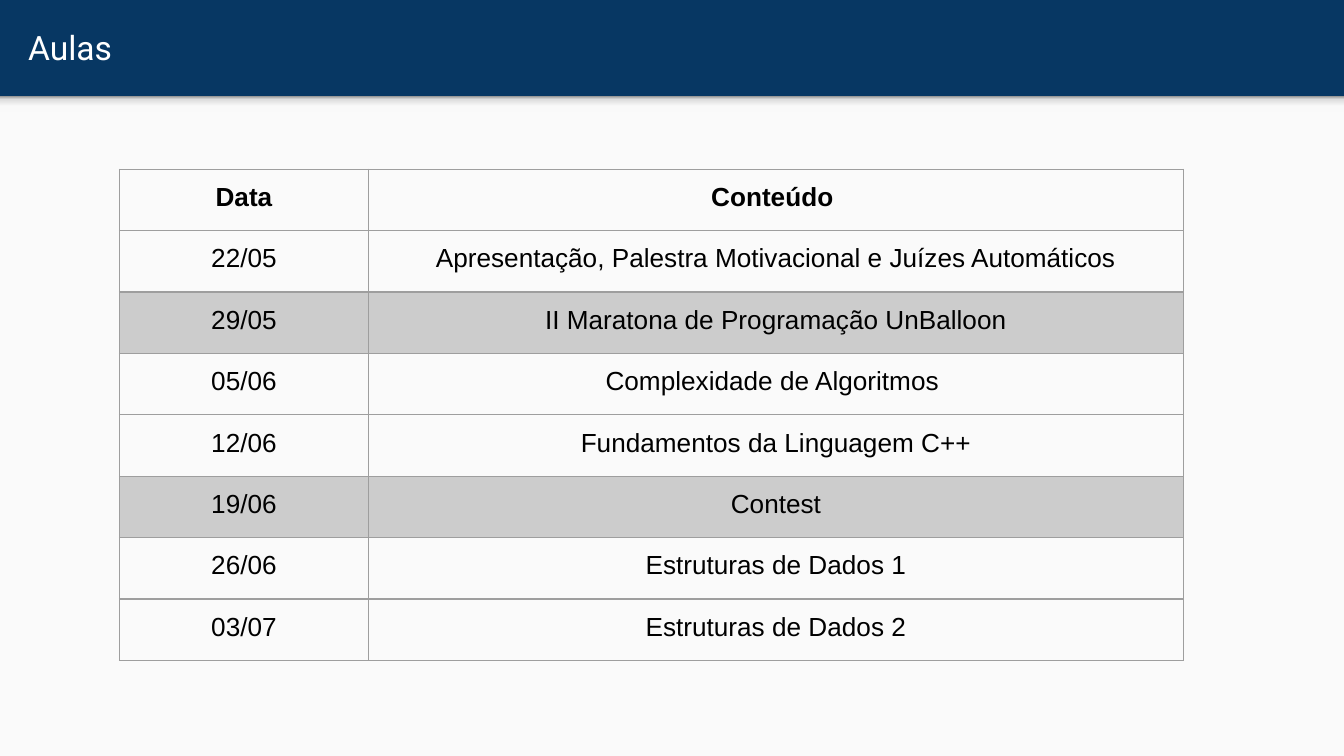
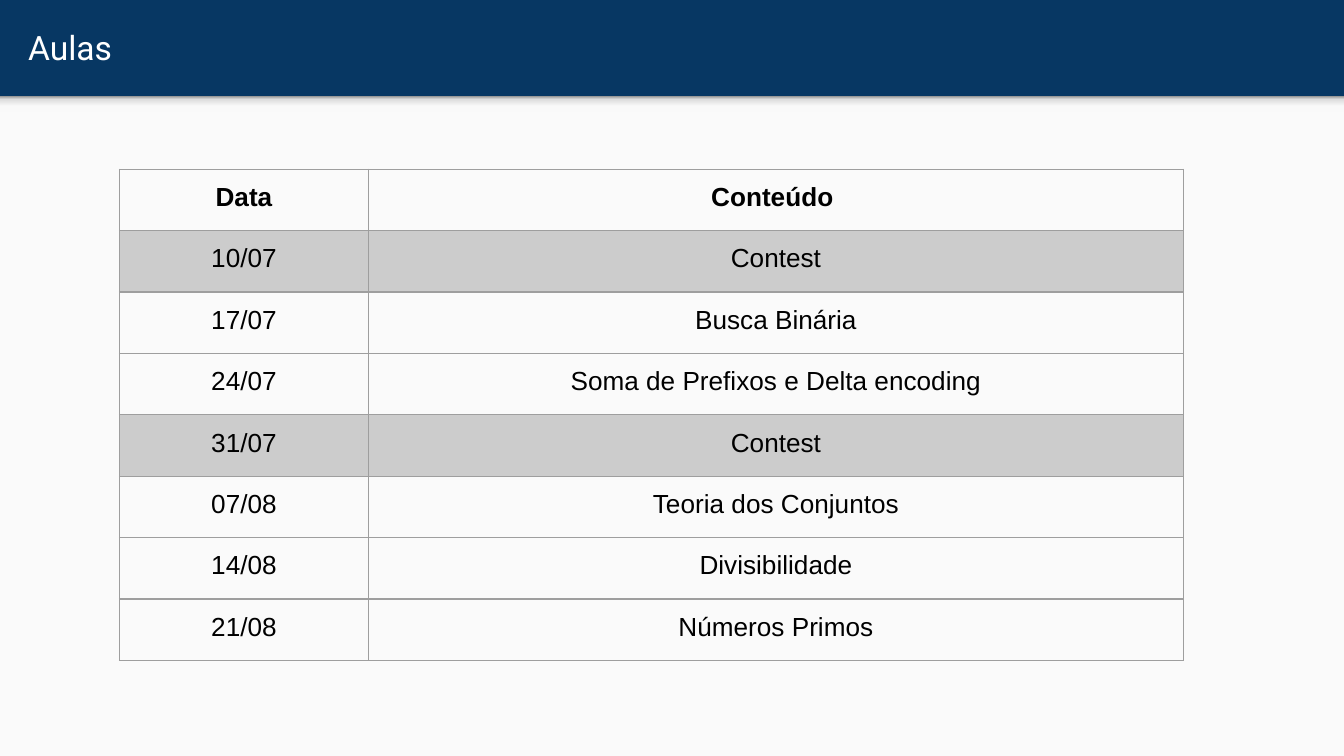
from dataclasses import dataclass
from typing import Any, NamedTuple

from lxml.etree import SubElement
from pptx import Presentation
from pptx.dml.color import RGBColor
from pptx.enum.shapes import MSO_SHAPE
from pptx.enum.text import MSO_ANCHOR, PP_ALIGN
from pptx.oxml.ns import qn
from pptx.util import Pt


@dataclass(frozen=True)
class Theme:
    navy: str = "073763"
    paper: str = "FAFAFA"
    white: str = "FFFFFF"
    ink: str = "000000"
    gray: str = "CCCCCC"
    rule: str = "9E9E9E"
    shade: tuple = ((0, "F9F9F9"), (36, "F9F9F9"), (80, "DEDEDE"), (100, "999999"))
    head: str = "Roboto"
    body: str = "Arial"
    big: float = 18
    text: float = 14
    line: float = 0.75
    pad: float = 7.2


class Box(NamedTuple):
    left: float
    top: float
    width: float
    height: float

    def lengths(self) -> list:
        return [Pt(n) for n in self]


class Row(NamedTuple):
    date: str
    topic: str
    contest: bool = False


THEME = Theme()
WIDTH, HEIGHT, BAND = 720, 405, 51.6
PAGE = Box(0, BAND, WIDTH, HEIGHT - BAND)
SHADOW = Box(0, BAND, WIDTH, 8.6)
TITLE = Box(8, 1.4, 695, 47.5)
COLS = (133.4, 436.6)
ROW_H = 32.9
ORIGIN = (64, 90.7)
HEADER = Row("Data", "Conteúdo ")

LESSONS = (
    (
        Row("22/05", "Apresentação, Palestra Motivacional e Juízes Automáticos"),
        Row("29/05", "II Maratona de Programação UnBalloon", True),
        Row("05/06", "Complexidade de Algoritmos "),
        Row("12/06", "Fundamentos da Linguagem C++"),
        Row("19/06", "Contest", True),
        Row("26/06", "Estruturas de Dados 1"),
        Row("03/07", "Estruturas de Dados 2"),
    ),
    (
        Row("10/07", "Contest", True),
        Row("17/07", "Busca Binária"),
        Row("24/07", "Soma de Prefixos e Delta encoding"),
        Row("31/07", "Contest", True),
        Row("07/08", "Teoria dos Conjuntos"),
        Row("14/08", "Divisibilidade"),
        Row("21/08", "Números Primos"),
    ),
)

PADS = {f"margin_{side}": Pt(THEME.pad) for side in ("left", "top", "right", "bottom")}


def apply(target: Any, values: dict) -> None:
    for name, value in values.items():
        setattr(target, name, value)


def paint(fill: Any, color: str) -> None:
    fill.solid()
    fill.fore_color.rgb = RGBColor.from_string(color)


def write(frame: Any, text: str, color: str, font: dict, align: Any) -> None:
    para = frame.paragraphs[0]
    para.alignment = align
    run = para.add_run()
    run.text = text
    apply(run.font, font)
    run.font.color.rgb = RGBColor.from_string(color)


def add_stop(parent: Any, color: str) -> None:
    SubElement(parent, qn("a:srgbClr"), val=color)


def add_rect(slide: Any, box: Box) -> Any:
    shape = slide.shapes.add_shape(MSO_SHAPE.RECTANGLE, *box.lengths())
    shape.shadow.inherit = False
    shape.line.fill.background()
    return shape


def add_shadow(slide: Any) -> None:
    fill = add_rect(slide, SHADOW).fill
    fill.gradient()
    fill.gradient_angle = 90
    stops = fill.gradient_stops[0].color
    grad = slide.shapes[-1].element.spPr.find(qn("a:gradFill"))
    stops = grad.find(qn("a:gsLst"))
    for old in list(stops):
        stops.remove(old)
    for place, color in THEME.shade:
        add_stop(SubElement(stops, qn("a:gs"), pos=str(place * 1000)), color)
    grad.find(qn("a:lin")).set("ang", "16200000")


def add_frame(slide: Any, title: str) -> None:
    paint(slide.background.fill, THEME.navy)
    paint(add_rect(slide, PAGE).fill, THEME.paper)
    add_shadow(slide)
    frame = slide.shapes.add_textbox(*TITLE.lengths()).text_frame
    apply(frame, {"word_wrap": True, "vertical_anchor": MSO_ANCHOR.MIDDLE, **PADS})
    font = {"name": THEME.head, "size": Pt(THEME.big)}
    write(frame, title, THEME.white, font, PP_ALIGN.LEFT)


def add_edges(cell: Any) -> None:
    props = cell._tc.get_or_add_tcPr()
    for place, side in enumerate(("lnL", "lnR", "lnT", "lnB")):
        line = SubElement(props, qn(f"a:{side}"), w=str(Pt(THEME.line)))
        add_stop(SubElement(line, qn("a:solidFill")), THEME.rule)
        props.insert(place, line)


def fill_cell(cell: Any, text: str, bold: bool, shaded: bool) -> None:
    apply(cell, {"vertical_anchor": MSO_ANCHOR.TOP, **PADS})
    if shaded:
        paint(cell.fill, THEME.gray)
    else:
        cell.fill.background()
    add_edges(cell)
    font = {"name": THEME.body, "size": Pt(THEME.text), "bold": bold}
    write(cell.text_frame, text, THEME.ink, font, PP_ALIGN.CENTER)


def add_grid(slide: Any, lessons: tuple) -> None:
    rows = (HEADER, *lessons)
    box = Box(*ORIGIN, sum(COLS), ROW_H * len(rows))
    table = slide.shapes.add_table(len(rows), len(COLS), *box.lengths()).table
    apply(table, {"first_row": False, "horz_banding": False})
    for col, width in zip(table.columns, COLS):
        col.width = Pt(width)
    for line, row in zip(table.rows, rows):
        line.height = Pt(ROW_H)
        for cell, text in zip(line.cells, (row.date, row.topic)):
            fill_cell(cell, text, row is HEADER, row.contest)


def main() -> None:
    deck = Presentation()
    apply(deck, {"slide_width": Pt(WIDTH), "slide_height": Pt(HEIGHT)})
    for lessons in LESSONS:
        slide = deck.slides.add_slide(deck.slide_layouts[6])
        add_frame(slide, "Aulas")
        add_grid(slide, lessons)
    deck.save("out.pptx")


if __name__ == "__main__":
    main()
